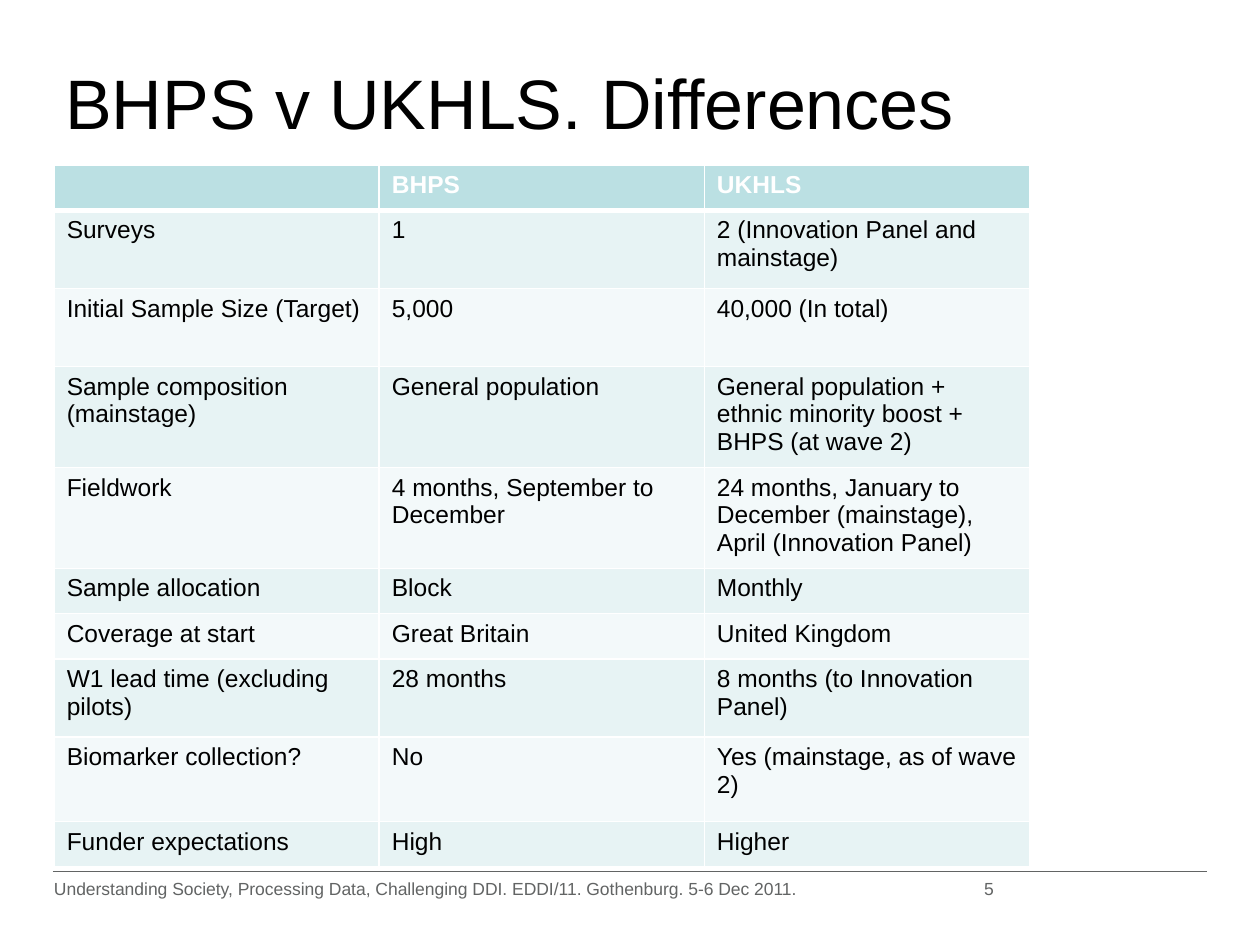
from lxml import etree
from pptx import Presentation
from pptx.dml.color import RGBColor
from pptx.enum.shapes import MSO_CONNECTOR
from pptx.oxml.ns import qn
from pptx.util import Inches, Pt

STRAIGHT = MSO_CONNECTOR.STRAIGHT
FONT = "Arial"
COLORS = {
    "black": "000000",
    "white": "FFFFFF",
    "grey": "626464",
    "header": "BBE0E3",
    "band_dark": "E7F3F4",
    "band_light": "F3F9FA",
}

ROWS = [
    ("", "BHPS", "UKHLS"),
    ("Surveys", "1", "2 (Innovation Panel and mainstage)"),
    ("Initial Sample Size (Target)", "5,000", "40,000 (In total)"),
    ("Sample composition (mainstage)", "General population",
     "General population + ethnic minority boost + BHPS (at wave 2)"),
    ("Fieldwork", "4 months, September to December",
     "24 months, January to December (mainstage), April (Innovation Panel)"),
    ("Sample allocation", "Block", "Monthly"),
    ("Coverage at start", "Great Britain", "United Kingdom"),
    ("W1 lead time (excluding pilots)", "28 months", "8 months (to Innovation Panel)"),
    ("Biomarker collection?", "No", "Yes (mainstage, as of wave 2)"),
    ("Funder expectations", "High", "Higher"),
]
ROW_HEIGHTS = [0.36, 0.62, 0.62, 0.78, 0.78, 0.36, 0.36, 0.62, 0.67, 0.36]
COL_WIDTH = 2.58
TEXT_SIZE = 14


def rgb(name):
    return RGBColor.from_string(COLORS[name])


def format_runs(p, size, color, bold=False):
    for r in p.runs:
        r.font.name = FONT
        r.font.size = Pt(size)
        r.font.bold = bold
        r.font.color.rgb = rgb(color)


def add_text(slide, box, text, size, color):
    sp = slide.shapes.add_textbox(*map(Inches, box))
    tf = sp.text_frame
    tf.word_wrap = True
    p = tf.paragraphs[0]
    p.text = text
    format_runs(p, size, color)
    return p


def add_right_tab(p, position):
    tabs = etree.SubElement(p._p.get_or_add_pPr(), qn("a:tabLst"))
    etree.SubElement(tabs, qn("a:tab"), pos=str(Inches(position)), algn="r")


def add_rule(slide, x1, x2, y):
    line = slide.shapes.add_connector(
        STRAIGHT, Inches(x1), Inches(y), Inches(x2), Inches(y))
    line.line.color.rgb = rgb("grey")
    line.line.width = Pt(0.5)
    etree.SubElement(line._element.spPr, qn("a:effectLst"))


def set_borders(cell, widths):
    tcPr = cell._tc.get_or_add_tcPr()
    for side, width in widths.items():
        ln = etree.SubElement(tcPr, qn(f"a:ln{side}"), w=str(Pt(width)))
        fill = etree.SubElement(ln, qn("a:solidFill"))
        etree.SubElement(fill, qn("a:srgbClr"), val=COLORS["white"])


def fill_cell(cell, text, row):
    is_header = row == 0
    # The rule below the header is shared with the first body row
    set_borders(cell, {"L": 1, "R": 1, "T": 3 if row == 1 else 1,
                       "B": 3 if is_header else 1})
    band = "band_dark" if row % 2 else "band_light"
    cell.fill.solid()
    cell.fill.fore_color.rgb = rgb("header" if is_header else band)
    p = cell.text_frame.paragraphs[0]
    if text:
        p.text = text
        format_runs(p, TEXT_SIZE, "white" if is_header else "black", is_header)
    else:
        # Keep an empty cell from stretching its row
        etree.SubElement(p._p, qn("a:endParaRPr"), sz=str(TEXT_SIZE * 100))


def add_comparison_table(slide, left, top):
    cols = len(ROWS[0])
    table = slide.shapes.add_table(
        len(ROWS), cols, Inches(left), Inches(top),
        Inches(COL_WIDTH * cols), Inches(sum(ROW_HEIGHTS))).table
    for col in table.columns:
        col.width = Inches(COL_WIDTH)
    for i, (height, texts) in enumerate(zip(ROW_HEIGHTS, ROWS)):
        table.rows[i].height = Inches(height)
        for j, text in enumerate(texts):
            fill_cell(table.cell(i, j), text, i)


def main():
    prs = Presentation()
    prs.slide_width, prs.slide_height = Inches(10), Inches(7.5)
    slide = prs.slides.add_slide(prs.slide_layouts[6])

    # Footer rule
    add_rule(slide, 0.42, 9.58, 6.92)

    # Title
    title = add_text(slide, (0.42, 0.5, 7.75, 1.25),
                     "BHPS v UKHLS. Differences", 40, "black")
    title.line_spacing = 0.9

    # Comparison of the two studies
    add_comparison_table(slide, 0.43, 1.31)

    # Footer with page number
    footer = add_text(
        slide, (0.33, 6.92, 7.82, 0.42),
        "Understanding Society, Processing Data, Challenging DDI. EDDI/11. "
        "Gothenburg. 5-6 Dec 2011.\t5", 10, "grey")
    add_right_tab(footer, 7.46)

    prs.save("out.pptx")


if __name__ == "__main__":
    main()
